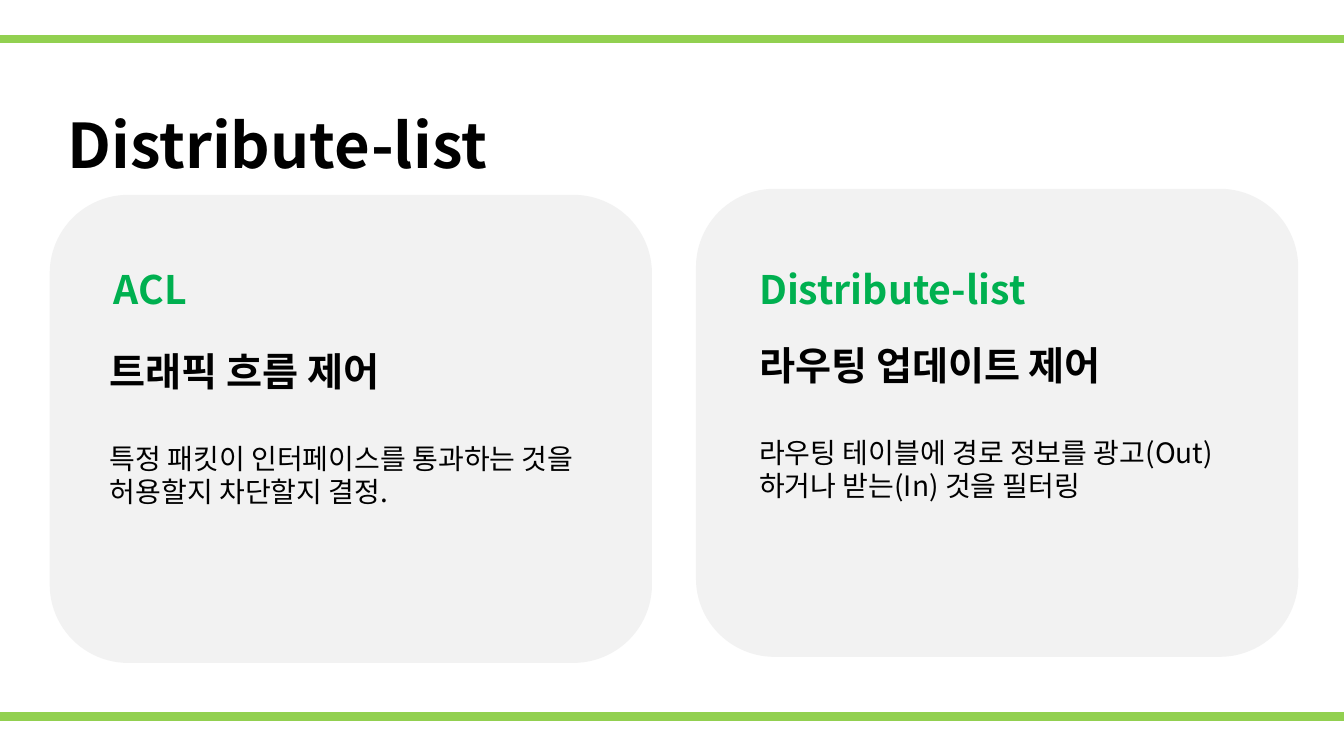
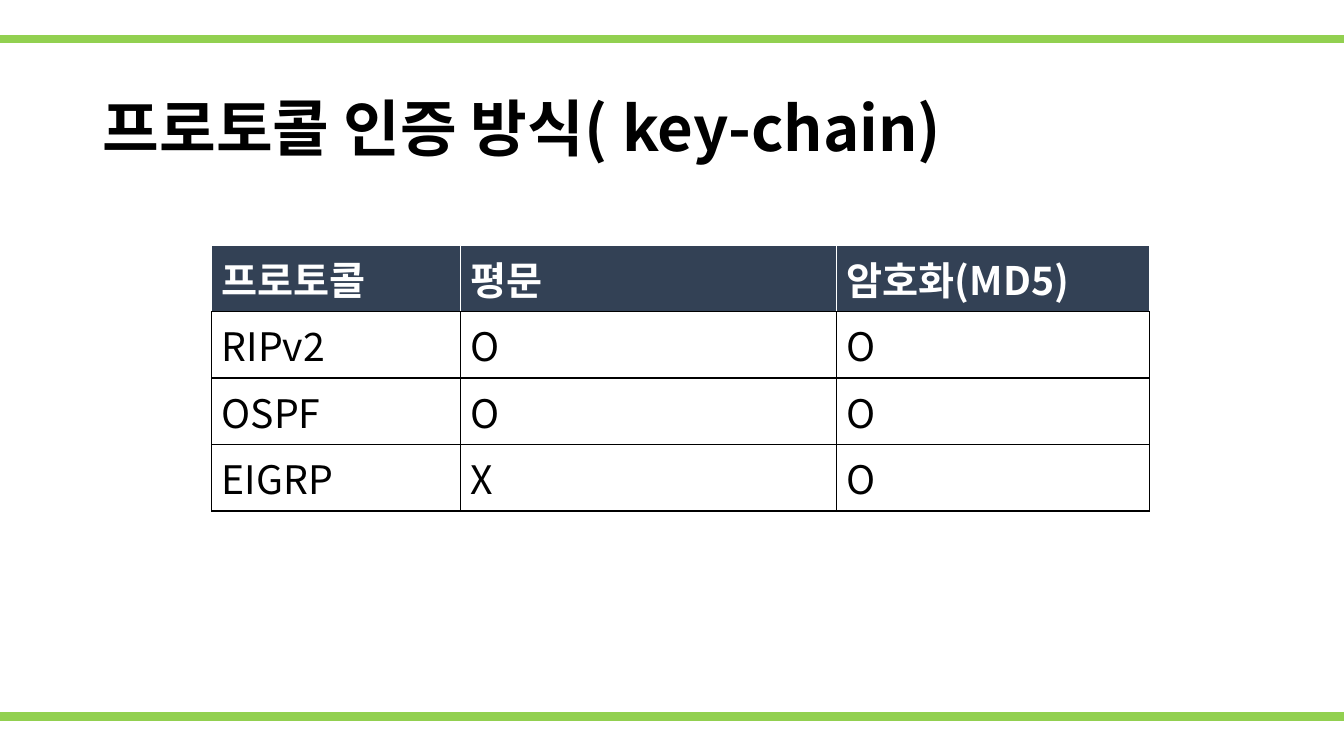
from lxml import etree
from pptx import Presentation
from pptx.dml.color import RGBColor
from pptx.enum import shapes, text
from pptx.oxml import ns
from pptx.util import Inches, Pt


class Theme:
    font = "Noto Sans CJK KR"
    black = RGBColor.from_string("000000")
    white = RGBColor.from_string("FFFFFF")
    band = RGBColor.from_string("92D050")
    card = RGBColor.from_string("F2F2F2")
    label = RGBColor.from_string("00B050")
    header = RGBColor.from_string("334155")
    title_size = Pt(44)
    head_size = Pt(28)
    body_size = Pt(20)
    head_line = Pt(34)
    body_line = Pt(23.6)
    head_gap = Pt(34)


def write(p, words, color, size, bold, **fmt):
    for name, value in fmt.items():
        setattr(p, name, value)
    r = p.add_run()
    r.text = words
    for name, value in {"name": Theme.font, "size": size, "bold": bold}.items():
        setattr(r.font, name, value)
    r.font.color.rgb = color
    ea = etree.SubElement(r.font._element, ns.qn("a:ea"))
    ea.set("typeface", Theme.font)


def add_box(parent, x, y, w, h):
    tf = parent.add_textbox(Inches(x), Inches(y), Inches(w), Inches(h)).text_frame
    tf.word_wrap = True
    return tf


prs = Presentation()
prs.slide_width, prs.slide_height = Inches(13.33), Inches(7.5)

titles = [
    ("Distribute-list", (0.57, 1.01, 5.63, 0.93)),
    ("프로토콜 인증 방식( key-chain)", (0.92, 0.82, 11.5, 0.96)),
]
for title, box in titles:
    s = prs.slides.add_slide(prs.slide_layouts[5])
    sp = s.shapes.title
    for name, value in zip(("left", "top", "width", "height"), box):
        setattr(sp, name, Inches(value))
    tf = sp.text_frame
    tf.word_wrap = True
    tf.vertical_anchor = text.MSO_ANCHOR.MIDDLE
    write(tf.paragraphs[0], title, Theme.black, Theme.title_size, True,
          alignment=text.PP_ALIGN.LEFT, line_spacing=0.9)
    for y in (0.39, 7.11):
        line = s.shapes.add_connector(shapes.MSO_CONNECTOR.STRAIGHT,
                                      0, Inches(y), prs.slide_width, Inches(y))
        line.line.color.rgb = Theme.band
        line.line.width = Pt(6)
        etree.SubElement(line._element.spPr, ns.qn("a:effectLst"))

compare, auth = prs.slides

cards = [
    (0.5, 1.94, 1.03, "ACL", 0.99, "트래픽 흐름 제어",
     "특정 패킷이 인터페이스를 통과하는 것을 허용할지 차단할지 결정."),
    (6.91, 1.88, 7.43, "Distribute-list", 7.43, "라우팅 업데이트 제어",
     "라우팅 테이블에 경로 정보를 광고(Out)하거나 받는(In) 것을 필터링"),
]
for x, y, label_x, label, body_x, heading, body in cards:
    group = compare.shapes.add_group_shape()
    sp = group.shapes.add_shape(shapes.MSO_SHAPE.ROUNDED_RECTANGLE,
                                Inches(x), Inches(y), Inches(5.96), Inches(4.63))
    sp.shadow.inherit = False
    sp.fill.solid()
    sp.fill.fore_color.rgb = sp.line.color.rgb = Theme.card
    sp.line.width = Pt(1)
    tf = add_box(group.shapes, label_x, 2.58, 4.91, 0.57)
    write(tf.paragraphs[0], label, Theme.label, Theme.head_size, True,
          line_spacing=Theme.head_line)
    tf = add_box(compare.shapes, body_x, y + 1.45, 4.91, 1.72)
    write(tf.paragraphs[0], heading, Theme.black, Theme.head_size, True,
          line_spacing=Theme.head_line)
    write(tf.add_paragraph(), body, Theme.black, Theme.body_size, False,
          line_spacing=Theme.body_line, space_before=Theme.head_gap)

rows = [
    ("프로토콜", "평문", "암호화(MD5)"),
    ("RIPv2", "O", "O"),
    ("OSPF", "O", "O"),
    ("EIGRP", "X", "O"),
]
table = auth.shapes.add_table(len(rows), 3, Inches(2.1), Inches(2.43),
                              Inches(9.3), Inches(2.64)).table
for column, width in zip(table.columns, (2.47, 3.73, 3.1)):
    column.width = Inches(width)
for i, row in enumerate(rows):
    is_header = i == 0
    table.rows[i].height = Inches(0.66)
    for j, words in enumerate(row):
        cell = table.cell(i, j)
        cell.vertical_anchor = text.MSO_ANCHOR.MIDDLE
        cell.margin_top = cell.margin_bottom = Inches(0.04)
        write(cell.text_frame.paragraphs[0], words,
              Theme.white if is_header else Theme.black, Theme.head_size, is_header)
        tc_pr = cell._tc.get_or_add_tcPr()
        for side in ("B" if is_header else "LRTB"):
            ln = etree.SubElement(tc_pr, ns.qn(f"a:ln{side}"), w=str(Pt(1)))
            fill = etree.SubElement(ln, ns.qn("a:solidFill"))
            etree.SubElement(fill, ns.qn("a:srgbClr"), val=str(Theme.black))
        cell.fill.solid()
        cell.fill.fore_color.rgb = Theme.header if is_header else Theme.white

prs.save("out.pptx")
